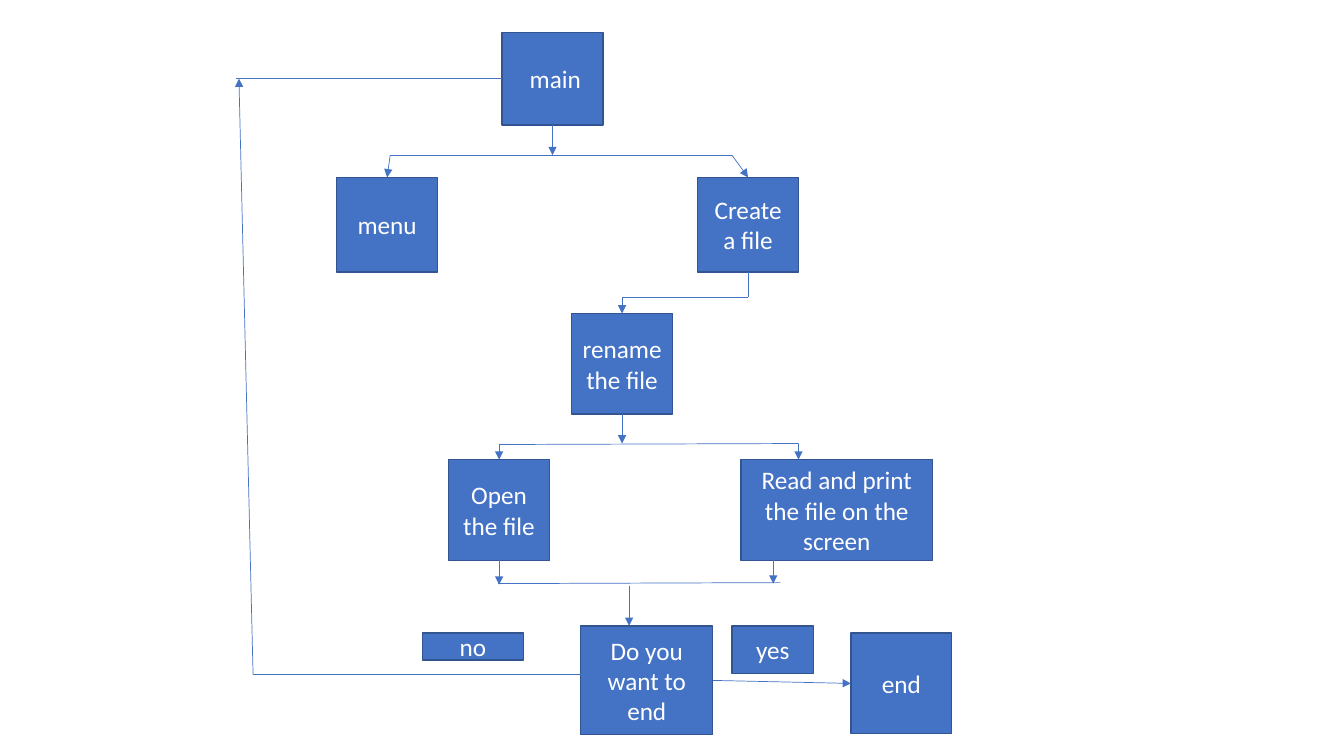
from dataclasses import dataclass

from lxml import etree
from pptx import Presentation
from pptx import util as u
from pptx.dml.color import RGBColor
from pptx.enum import shapes, text
from pptx.oxml import ns


@dataclass(frozen=True)
class Theme:
    fill: RGBColor = RGBColor(0x44, 0x72, 0xC4)
    outline: RGBColor = RGBColor(0x32, 0x54, 0x91)
    label: RGBColor = RGBColor(0xFF, 0xFF, 0xFF)
    font: str = "Calibri"
    label_size: int = 18
    outline_width: float = 1
    link_width: float = 0.5


THEME = Theme()
TOP, LEFT, BOTTOM, RIGHT = range(4)


def write_text(frame, wording, *, size=THEME.label_size, color=THEME.label,
               align=text.PP_ALIGN.CENTER, anchor=text.MSO_ANCHOR.MIDDLE):
    frame.word_wrap = True
    frame.vertical_anchor = anchor
    paragraph = frame.paragraphs[0]
    paragraph.alignment = align
    run = paragraph.add_run()
    run.text = wording
    run.font.name = THEME.font
    run.font.size = u.Pt(size)
    run.font.color.rgb = color


def add_step(slide, wording, left, top, width=1, height=1):
    step = slide.shapes.add_shape(
        shapes.MSO_SHAPE.RECTANGLE,
        *(u.Inches(length) for length in (left, top, width, height)))
    step.shadow.inherit = False
    step.fill.solid()
    step.fill.fore_color.rgb = THEME.fill
    step.line.color.rgb = THEME.outline
    step.line.width = u.Pt(THEME.outline_width)
    write_text(step.text_frame, wording)
    return step


def add_link(slide, start, end, *, arrow=True, leaves=None, enters=None):
    """Draw a straight link; leaves and enters are (step, side) pairs."""
    link = slide.shapes.add_connector(
        shapes.MSO_CONNECTOR.STRAIGHT,
        *(u.Inches(length) for length in (*start, *end)))
    if leaves:
        link.begin_connect(*leaves)
    if enters:
        link.end_connect(*enters)
    link.line.color.rgb = THEME.fill
    link.line.width = u.Pt(THEME.link_width)
    if arrow:
        outline = link.line._get_or_add_ln()
        etree.SubElement(outline, ns.qn("a:tailEnd"), type="triangle")
    properties = link._element.spPr
    etree.SubElement(properties, ns.qn("a:effectLst"))


def main():
    prs = Presentation()
    prs.slide_width, prs.slide_height = u.Inches(13.33), u.Inches(7.5)
    slide = prs.slides.add_slide(prs.slide_layouts[6])

    # Steps of the program
    start = add_step(slide, " main", 4.98, 0.32, height=0.92)
    menu = add_step(slide, "menu", 3.34, 1.76, height=0.94)
    create = add_step(slide, "Create a file", 6.92, 1.76, height=0.94)
    rename = add_step(slide, "rename the file", 5.67, 3.11)
    open_file = add_step(slide, "Open the file", 4.45, 4.56)
    add_step(slide, "Read and print the file on the screen", 7.35, 4.56, 1.9)
    finish = add_step(slide, "end", 8.44, 6.28)
    question = add_step(slide, "Do you want to end", 5.76, 6.21, 1.31, 1.08)

    # Main branches to menu and file creation
    add_link(slide, (5.48, 1.24), (5.48, 1.54), leaves=(start, BOTTOM))
    add_link(slide, (3.87, 1.54), (7.26, 1.54), arrow=False)
    add_link(slide, (3.87, 1.54), (3.84, 1.76), enters=(menu, TOP))
    add_link(slide, (7.26, 1.54), (7.42, 1.76), enters=(create, TOP))

    # File creation leads to renaming
    add_link(slide, (7.42, 2.7), (7.42, 2.95), arrow=False,
             leaves=(create, BOTTOM))
    add_link(slide, (7.42, 2.95), (6.17, 2.95), arrow=False)
    add_link(slide, (6.17, 2.95), (6.17, 3.11), enters=(rename, TOP))

    # Renaming branches to opening and reading
    add_link(slide, (6.17, 4.11), (6.17, 4.4), leaves=(rename, BOTTOM))
    add_link(slide, (4.95, 4.41), (7.92, 4.4), arrow=False)
    add_link(slide, (4.95, 4.4), (4.95, 4.56), enters=(open_file, TOP))
    add_link(slide, (7.92, 4.4), (7.92, 4.56))

    # Both branches meet at the question
    add_link(slide, (4.95, 5.56), (4.95, 5.8), leaves=(open_file, BOTTOM))
    add_link(slide, (7.67, 5.56), (7.67, 5.79))
    add_link(slide, (4.94, 5.79), (7.74, 5.78), arrow=False)
    add_link(slide, (6.24, 5.81), (6.24, 6.21))

    # Yes ends the program, no loops back to main
    add_link(slide, (7.07, 6.75), (8.44, 6.78),
             leaves=(question, RIGHT), enters=(finish, LEFT))
    add_link(slide, (5.76, 6.69), (2.51, 6.69), arrow=False)
    add_link(slide, (2.51, 6.69), (2.37, 0.78))
    add_link(slide, (4.98, 0.78), (2.34, 0.78), arrow=False,
             leaves=(start, LEFT))

    # Answers
    add_step(slide, "yes", 7.26, 6.21, 0.81, 0.47)
    add_step(slide, "no", 4.19, 6.28, height=0.27)

    prs.save("out.pptx")


if __name__ == "__main__":
    main()
